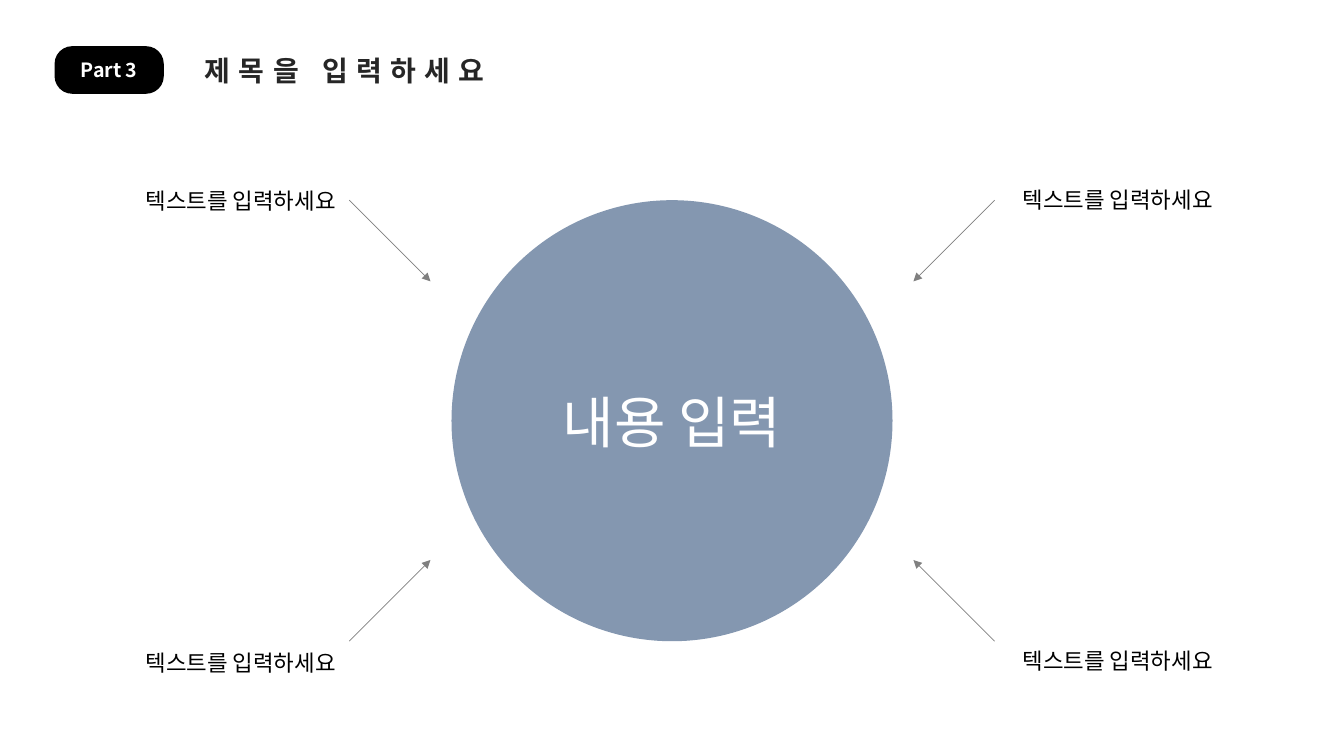
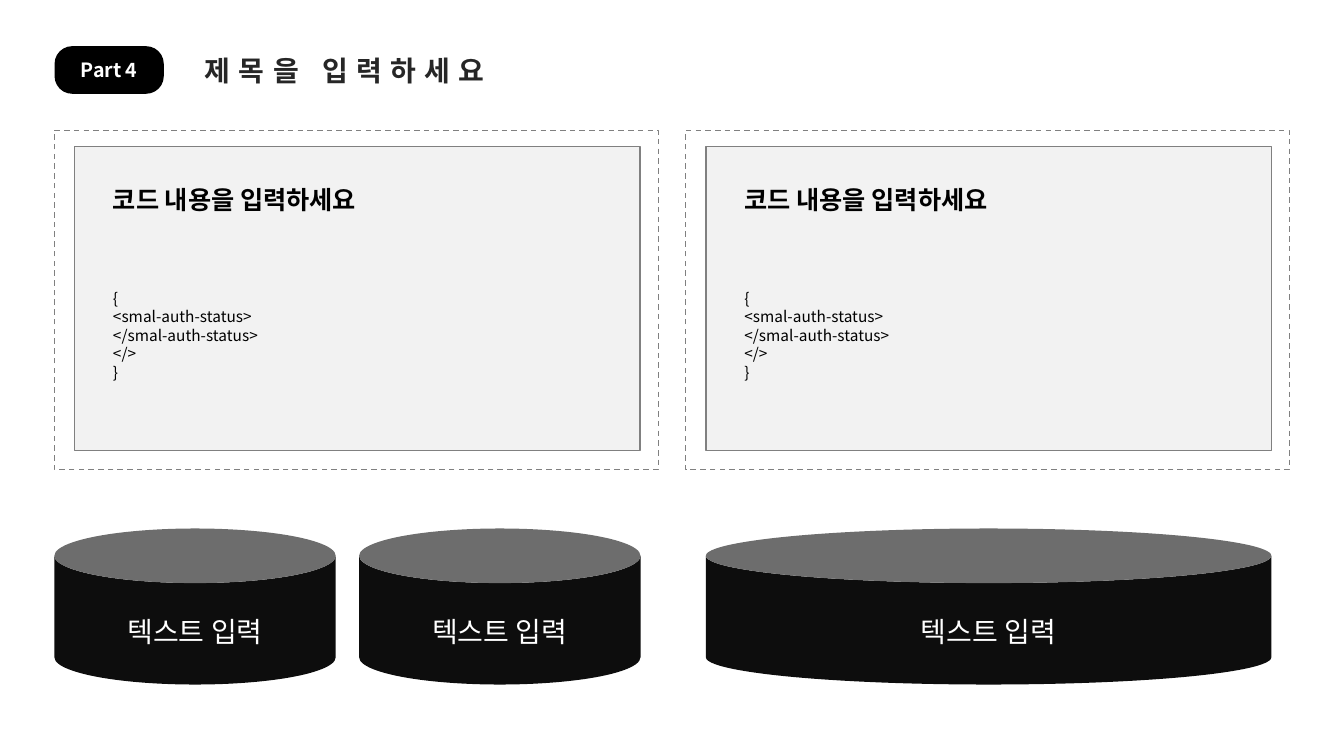
from pptx import Presentation
from pptx.dml.color import RGBColor
from pptx.enum import dml, shapes, text
from pptx.oxml.ns import qn
from pptx.util import Pt
from lxml import etree

# Content
TITLE = "제목을 입력하세요"
CENTER = "내용 입력"
LABELS = [  # text, side, up or down, left, top
    ("텍스트를 입력하세요", -1, -1, 97, 129.5),
    ("텍스트를 입력하세요", 1, -1, 723.5, 129),
    ("텍스트를 입력하세요", -1, 1, 97, 459.5),
    ("텍스트를 입력하세요", 1, 1, 723.5, 458),
]
CODE = ["{", "<smal-auth-status>", "</smal-auth-status>", "</>", "}"]
PANELS = [  # left, heading, code
    (38.8, "코드 내용을 입력하세요", CODE),
    (489.8, "코드 내용을 입력하세요", CODE),
]
CANS = [  # left, width, text
    (38.8, 201, "텍스트 입력"),
    (256.5, 201, "텍스트 입력"),
    (504.2, 404, "텍스트 입력"),
]

# Shared style
FONT = "Noto Sans CJK KR"
BLACK = RGBColor(0, 0, 0)
WHITE = RGBColor(255, 255, 255)
DARK = RGBColor(0x26, 0x26, 0x26)
COAL = RGBColor(0x0D, 0x0D, 0x0D)
GRAY = RGBColor(0x80, 0x80, 0x80)
PALE = RGBColor(0xF2, 0xF2, 0xF2)
BLUE = RGBColor(0x84, 0x97, 0xB0)
LEFT, MID, JUST = text.PP_ALIGN.LEFT, text.PP_ALIGN.CENTER, text.PP_ALIGN.JUSTIFY
KIND = shapes.MSO_SHAPE


def write(shape, lines, size, color, bold=False, align=LEFT, track=0,
          anchor=text.MSO_ANCHOR.MIDDLE):
    frame = shape.text_frame
    frame.text = "\n".join(lines)
    frame.word_wrap = True
    frame.auto_size = text.MSO_AUTO_SIZE.NONE
    frame.vertical_anchor = anchor
    for para in frame.paragraphs:
        para.alignment = align
        font = para.font
        font.name, font.size, font.bold = FONT, Pt(size), bold
        font.color.rgb = color
        # East Asian face and letter spacing
        props = para._p.pPr.find(qn("a:defRPr"))
        etree.SubElement(props, qn("a:ea"), typeface=FONT)
        if track:
            props.set("spc", str(track * 100))
    return frame


def label(slide, box, lines, size, color, **style):
    note = slide.shapes.add_textbox(*map(Pt, box))
    return write(note, lines, size, color, **style)


def draw(slide, kind, box, fill=None, line=None):
    shape = slide.shapes.add_shape(kind, *map(Pt, box))
    shape.shadow.inherit = False
    if fill is None:
        shape.fill.background()
    else:
        shape.fill.solid()
        shape.fill.fore_color.rgb = fill
    if line is None:
        shape.line.fill.background()
    else:
        shape.line.color.rgb = line
        shape.line.width = Pt(1)
    return shape


def arrow(slide, start, end):
    line = slide.shapes.add_connector(
        shapes.MSO_CONNECTOR.STRAIGHT, *map(Pt, start + end))
    line.line.color.rgb = GRAY
    line.line.width = Pt(0.5)
    etree.SubElement(line.line._get_or_add_ln(), qn("a:tailEnd"), type="triangle")
    etree.SubElement(line._element.spPr, qn("a:effectLst"))


def page(deck, part):
    slide = deck.slides.add_slide(deck.slide_layouts[5])
    pill = draw(slide, KIND.ROUNDED_RECTANGLE, (39, 33, 78, 34), BLACK)
    pill.adjustments[0] = 0.37
    write(pill, [part], 14, WHITE, bold=True, align=MID)
    head = slide.shapes.title
    head.left, head.top, head.width, head.height = map(Pt, (139, 34.5, 235, 32))
    write(head, [TITLE], 20, DARK, bold=True, track=6)
    return slide


def hub(deck):
    slide = page(deck, "Part 3")
    x, y, r = 480, 300.5, 157.5
    disc = draw(slide, KIND.OVAL, (x - r, y - r, 2 * r, 2 * r), BLUE)
    write(disc, [CENTER], 40, WHITE, align=MID)
    for words, side, way, left, top in LABELS:
        arrow(slide, (x + side * 230.5, y + way * r),
              (x + side * 172.5, y + way * 99.5))
        label(slide, (left, top, 163, 27), [words], 16, BLACK)


def board(deck):
    slide = page(deck, "Part 4")
    # Code panels
    for left, head, code in PANELS:
        draw(slide, KIND.RECTANGLE, (left + 14.4, 104.5, 404, 217.5), PALE, GRAY)
        inner = left + 34.8
        label(slide, (inner, 128, 205, 29), [head], 18, BLACK, bold=True)
        label(slide, (inner, 202.5, 362, 74), code, 11, BLACK, align=JUST)
        frame = draw(slide, KIND.RECTANGLE, (left, 93, 431.5, 242.5), line=GRAY)
        frame.line.dash_style = dml.MSO_LINE.DASH
    # Cylinders
    for left, width, words in CANS:
        can = draw(slide, KIND.CAN, (left, 377.5, width, 111.5), COAL)
        can.adjustments[0] = 0.35
        frame = write(can, [words], 20, WHITE, align=MID)
        frame.margin_top, frame.margin_bottom = Pt(16), 0


def main():
    deck = Presentation()
    deck.slide_width, deck.slide_height = Pt(960), Pt(540)
    hub(deck)
    board(deck)
    deck.save("out.pptx")


if __name__ == "__main__":
    main()
